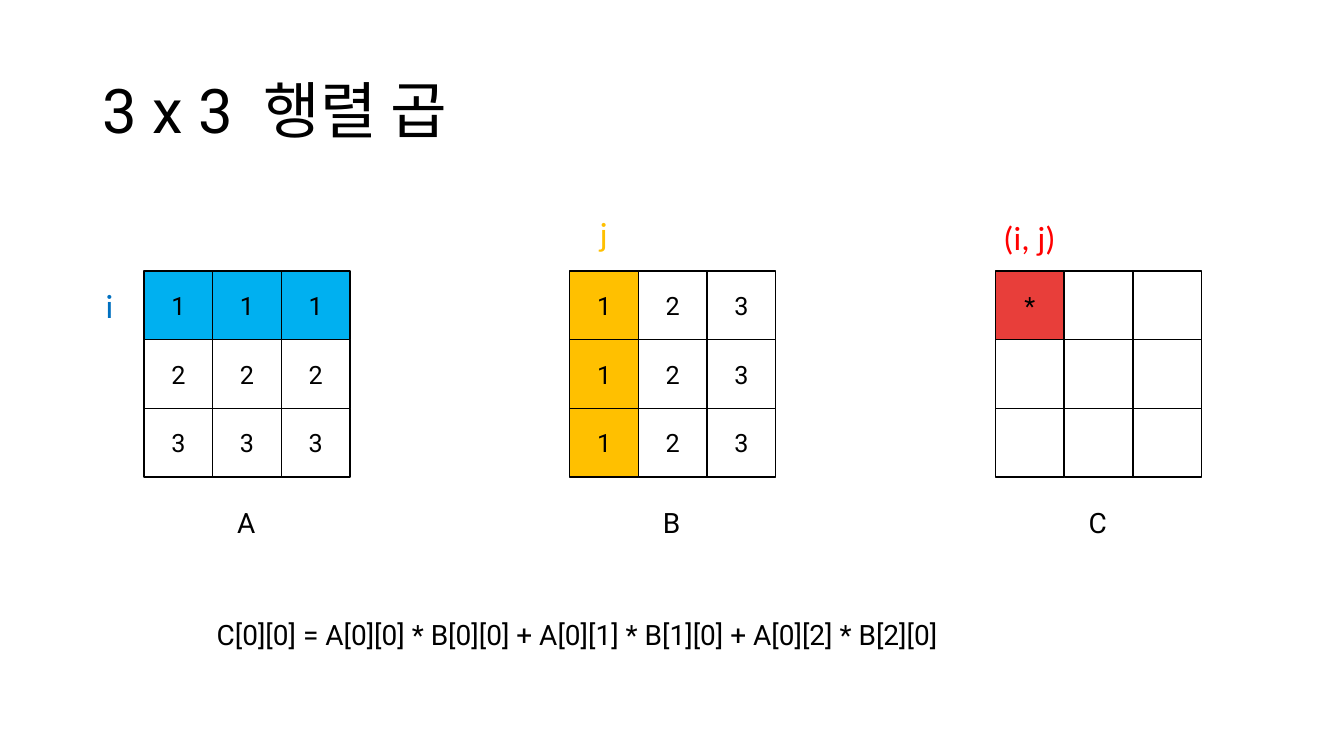
from pptx import Presentation
from pptx.dml.color import RGBColor
from pptx.enum.shapes import MSO_SHAPE
from pptx.enum.text import MSO_ANCHOR, MSO_AUTO_SIZE, PP_ALIGN
from pptx.util import Cm, Pt

TITLE = ["3 x 3", " ", "행렬 곱"]
FORMULA = "C[0][0] = A[0][0] * B[0][0] + A[0][1] * B[1][0] + A[0][2] * B[2][0]"
BLACK, WHITE = "000000", "FFFFFF"
BLUE, GOLD, RED = "00B0F0", "FFC000", "E83E3A"
GRIDS = [
    ("A", ["111", "222", "333"], BLUE, [(0, 0), (0, 1), (0, 2)]),
    ("B", ["123", "123", "123"], GOLD, [(0, 0), (1, 0), (2, 0)]),
    ("C", ["*  ", "   ", "   "], RED, [(0, 0)]),
]
MARKS = [
    ("i", 2.41, 7.06, 0.71, "0070C0"),
    ("j", 14.86, 5.23, 0.71, GOLD),
    ("(i, j)", 25.04, 5.33, 1.83, "FF0000"),
]
LEFT, TOP, SIDE, STEP = 3.63, 6.83, 1.73, 10.73


def color(code):
    return RGBColor.from_string(code)


def style(font, size, code=BLACK, name="Roboto"):
    font.size = Pt(size)
    font.name = name
    font.color.rgb = color(code)


def label(slide, text, x, y, w, h, size, code=BLACK, name="Roboto"):
    frame = slide.shapes.add_textbox(Cm(x), Cm(y), Cm(w), Cm(h)).text_frame
    frame.word_wrap = False
    frame.auto_size = MSO_AUTO_SIZE.SHAPE_TO_FIT_TEXT
    frame.text = text
    style(frame.paragraphs[0].runs[0].font, size, code, name)


def heading(slide):
    frame = slide.shapes.add_textbox(Cm(2.33), Cm(1.01), Cm(29.21), Cm(3.68)).text_frame
    frame.word_wrap = True
    frame.vertical_anchor = MSO_ANCHOR.MIDDLE
    line = frame.paragraphs[0]
    line.line_spacing = 0.9
    for part in TITLE:
        run = line.add_run()
        run.text = part
        style(run.font, 44)
        if part == " ":
            run.font._element.set("spc", "1100")


def cell(slide, text, x, y, fill):
    box = slide.shapes.add_shape(MSO_SHAPE.RECTANGLE, Cm(x), Cm(y), Cm(SIDE), Cm(SIDE))
    box.shadow.inherit = False
    box.fill.solid()
    box.fill.fore_color.rgb = color(fill)
    box.line.color.rgb = color(BLACK)
    box.line.width = Pt(1)
    if text.strip():
        frame = box.text_frame
        frame.text = text
        frame.vertical_anchor = MSO_ANCHOR.MIDDLE
        frame.paragraphs[0].alignment = PP_ALIGN.CENTER
        style(frame.paragraphs[0].runs[0].font, 18)


def main():
    """Build the matrix product slide."""
    deck = Presentation()
    deck.slide_width, deck.slide_height = Cm(33.87), Cm(19.05)
    slide = deck.slides.add_slide(deck.slide_layouts[6])
    heading(slide)
    for n, (name, rows, tint, marked) in enumerate(GRIDS):
        left = LEFT + n * STEP
        for r, row in enumerate(rows):
            for c, text in enumerate(row):
                fill = tint if (r, c) in marked else WHITE
                cell(slide, text, left + c * SIDE, TOP + r * SIDE, fill)
        label(slide, name, left + 1.5 * SIDE - 0.5, 12.62, 1, 1.12, 20)
    label(slide, FORMULA, 5.21, 15.44, 23.47, 1.12, 20)
    for text, x, y, w, code in MARKS:
        label(slide, text, x, y, w, 1.27, 24, code, "Calibri")
    deck.save("out.pptx")


if __name__ == "__main__":
    main()
